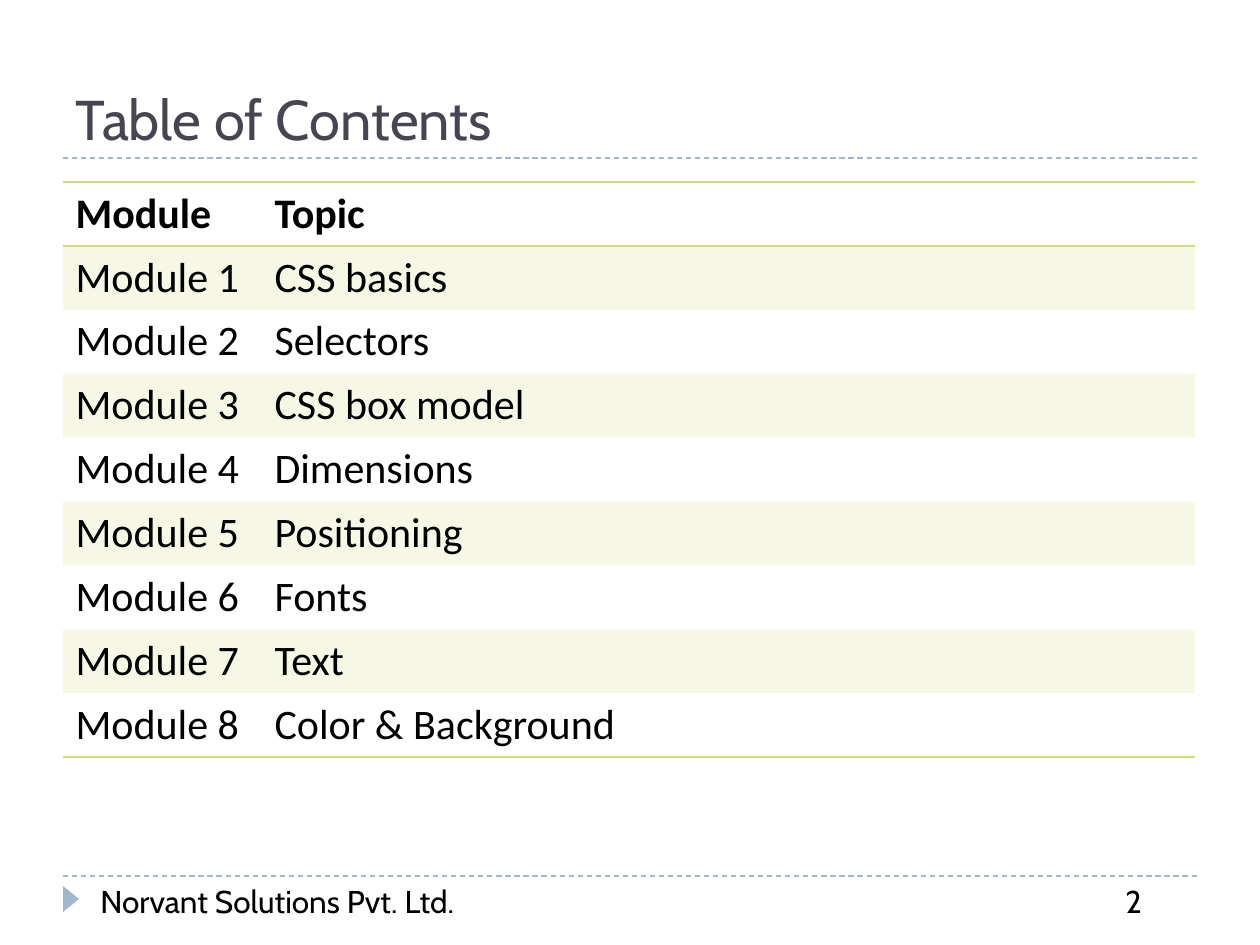
from lxml.etree import SubElement
from pptx import Presentation
from pptx.dml.color import RGBColor
from pptx.enum.dml import MSO_LINE
from pptx.enum.shapes import MSO_CONNECTOR, MSO_SHAPE
from pptx.enum.text import MSO_ANCHOR, PP_ALIGN
from pptx.oxml import parse_xml
from pptx.oxml.ns import nsdecls, qn
from pptx.util import Emu, Pt

# Content
TITLE = "Table of Contents"
HEADER = ("Module", "Topic")
TOPICS = ["CSS basics", "Selectors", "CSS box model", "Dimensions",
          "Positioning", "Fonts", "Text", "Color & Background"]
FOOTER = "Norvant Solutions Pvt. Ltd."
PAGE_NUMBER = "2"

THEME = {
    "title": ("Cabin", 32, "464653"),
    "cell": ("Calibri", 24, "000000"),
    "footer": ("Cabin", 18, "000000"),
    "accent": "9FB8CD",
    "band": "D2DA7A",
    "band_alpha": 20,
    "rule_width": 0.75,
    "border_width": 1,
}
NO_STYLE = "{2D5ABB26-0587-4C30-8999-92F81FD0307C}"

# Layout in px, 126 to the inch
LEFT, RIGHT = 63, 1197
TITLE_RULE, FOOTER_RULE = 158, 876
TABLE_TOP, ROW_HEIGHT = 182, 63
COLUMNS = (199, 933)


def px(n):
    return Emu(round(n * 914400 / 126))


def box(*lengths):
    return [px(n) for n in lengths]


def write(frame, text, style, bold=False):
    name, size, color = THEME[style]
    frame.text = text
    font = frame.paragraphs[0].font
    font.name, font.size, font.bold = name, Pt(size), bold
    font.color.rgb = RGBColor.from_string(color)


def add_rule(slide, y):
    rule = slide.shapes.add_connector(MSO_CONNECTOR.STRAIGHT, *box(LEFT, y, RIGHT, y))
    rule.line.color.rgb = RGBColor.from_string(THEME["accent"])
    rule.line.width = Pt(THEME["rule_width"])
    rule.line.dash_style = MSO_LINE.DASH
    SubElement(rule._element.spPr, qn("a:effectLst"))


def add_label(slide, text, left, width):
    label = slide.shapes.add_textbox(*box(left, FOOTER_RULE, width, 50))
    label.text_frame.word_wrap = True
    write(label.text_frame, text, "footer")


def shade(cell):
    cell.fill.solid()
    cell.fill.fore_color.rgb = RGBColor.from_string(THEME["band"])
    color = cell._tc.tcPr.find(".//" + qn("a:srgbClr"))
    SubElement(color, qn("a:alpha"), val=str(THEME["band_alpha"] * 1000))


def add_borders(cell, sides):
    for position, side in enumerate(sides):
        border = parse_xml(
            f'<a:ln{side} {nsdecls("a")} w="{Pt(THEME["border_width"])}"><a:solidFill>'
            f'<a:srgbClr val="{THEME["band"]}"/></a:solidFill></a:ln{side}>')
        cell._tc.tcPr.insert(position, border)


def add_contents(slide):
    rows = [HEADER] + [(f"Module {n}", topic) for n, topic in enumerate(TOPICS, 1)]
    graphic = slide.shapes.add_table(
        len(rows), len(COLUMNS),
        *box(LEFT, TABLE_TOP, sum(COLUMNS), ROW_HEIGHT * len(rows)))
    contents = graphic.table
    contents.first_row = contents.horz_banding = False
    contents._tbl.tblPr.find(qn("a:tableStyleId")).text = NO_STYLE
    for column, width in zip(contents.columns, COLUMNS):
        column.width = px(width)
    borders = {0: "TB", len(rows) - 1: "B"}
    for r, row in enumerate(rows):
        contents.rows[r].height = px(ROW_HEIGHT)
        for c, text in enumerate(row):
            cell = contents.cell(r, c)
            write(cell.text_frame, text, "cell", bold=r == 0)
            if r % 2:
                shade(cell)
            else:
                cell.fill.background()
            add_borders(cell, borders.get(r, ""))


def main():
    deck = Presentation()
    deck.slide_width, deck.slide_height = box(1260, 945)
    slide = deck.slides.add_slide(deck.slide_layouts[5])

    # Rules and footer marker
    add_rule(slide, FOOTER_RULE)
    add_rule(slide, TITLE_RULE)
    marker = slide.shapes.add_shape(MSO_SHAPE.ISOSCELES_TRIANGLE, *box(58, 891, 26, 16))
    marker.rotation = 90
    marker.shadow.inherit = False
    marker.fill.solid()
    marker.fill.fore_color.rgb = RGBColor.from_string(THEME["accent"])
    marker.line.fill.background()

    # Title
    title = slide.shapes.title
    title.left, title.top, title.width, title.height = box(LEFT, 32, RIGHT - LEFT, 126)
    write(title.text_frame, TITLE, "title")
    title.text_frame.vertical_anchor = MSO_ANCHOR.BOTTOM
    title.text_frame.paragraphs[0].alignment = PP_ALIGN.LEFT

    # Table and footer
    add_contents(slide)
    add_label(slide, FOOTER, 88, 479)
    add_label(slide, PAGE_NUMBER, 1113, 84)
    deck.save("out.pptx")


if __name__ == "__main__":
    main()
